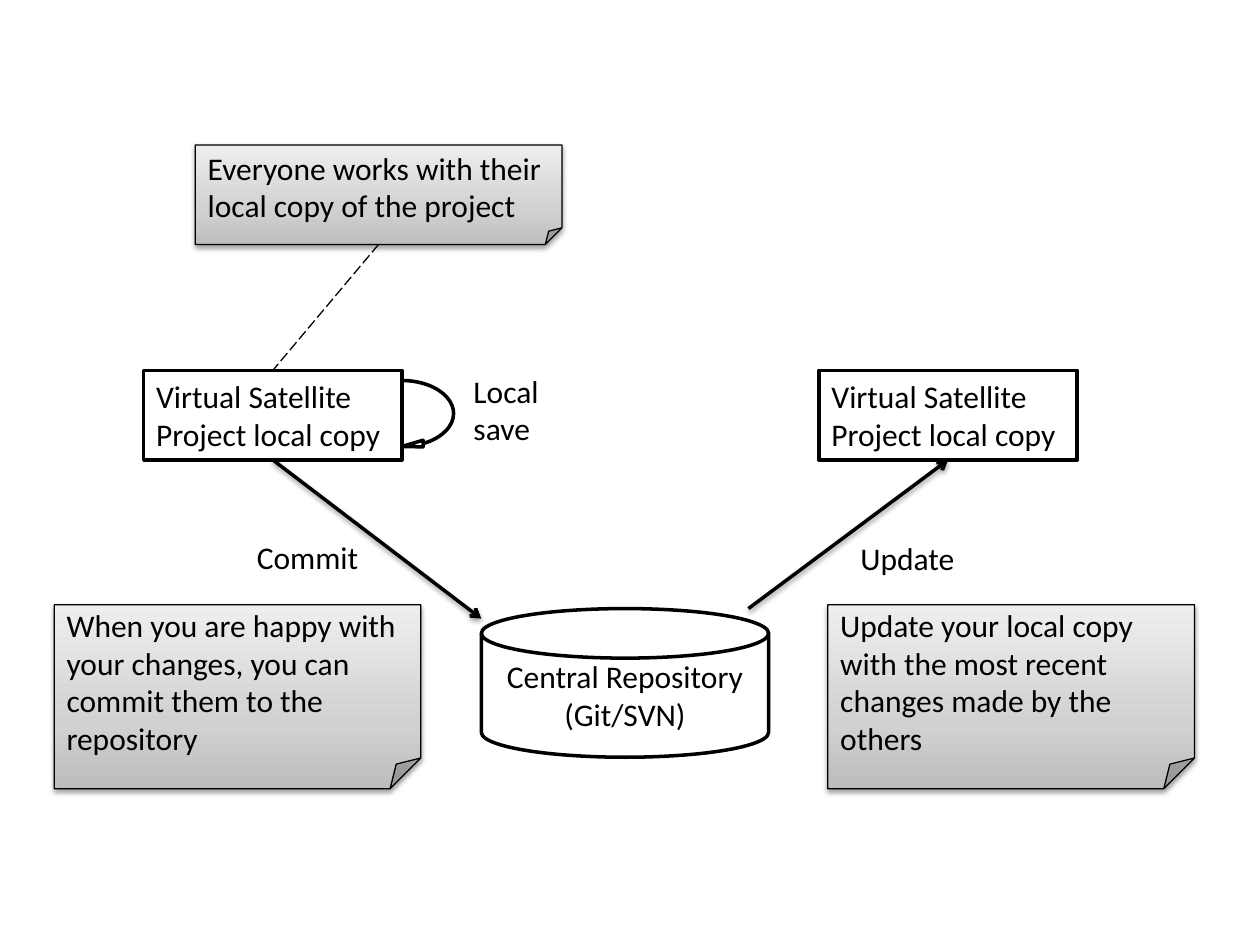
"""Draw the commit and update workflow around a central repository."""
from dataclasses import dataclass

from lxml import etree
from pptx import Presentation
from pptx.dml.color import RGBColor
from pptx.enum.dml import MSO_LINE
from pptx.enum.shapes import MSO_CONNECTOR, MSO_SHAPE
from pptx.enum.text import MSO_ANCHOR, MSO_AUTO_SIZE, PP_ALIGN
from pptx.oxml.ns import qn
from pptx.util import Inches, Pt

RECTANGLE = MSO_SHAPE.RECTANGLE
NOTE = MSO_SHAPE.FOLDED_CORNER
CYLINDER = MSO_SHAPE.FLOWCHART_MAGNETIC_DISK
LOOP_ARROW = MSO_SHAPE.CURVED_LEFT_ARROW
STRAIGHT = MSO_CONNECTOR.STRAIGHT
LONG_DASH = MSO_LINE.LONG_DASH
LEFT, CENTER = PP_ALIGN.LEFT, PP_ALIGN.CENTER
MIDDLE, TOP = MSO_ANCHOR.MIDDLE, MSO_ANCHOR.TOP
FIT_SHAPE = MSO_AUTO_SIZE.SHAPE_TO_FIT_TEXT
COLUMNS, ROWS = 100, 75
SLIDE_WIDTH, SLIDE_HEIGHT = Inches(10), Inches(7.5)


@dataclass(frozen=True)
class Theme:
    font: str = "Calibri"
    text_size: int = 18
    ink: str = "000000"
    paper: str = "FFFFFF"
    note_stops: tuple = ((0, "BDBDBD"), (35, "D1D1D1"), (100, "EEEEEE"))
    thin: float = 0.75
    thick: float = 2


@dataclass(frozen=True)
class Box:
    column: float
    row: float
    columns: float
    rows: float

    @property
    def top(self) -> tuple:
        return self.column + self.columns / 2, self.row

    @property
    def bottom(self) -> tuple:
        return self.column + self.columns / 2, self.row + self.rows


@dataclass(frozen=True)
class Node:
    box: Box
    preset: int
    lines: tuple = ()
    align: int = LEFT
    adjustments: tuple = ()


@dataclass(frozen=True)
class Label:
    box: Box
    text: str
    wrap: bool = False


@dataclass(frozen=True)
class Link:
    start: tuple
    end: tuple
    arrow: bool = True


THEME = Theme()
REPOSITORY = Box(38.2, 48.3, 22.8, 11.8)
LEFT_COPY, RIGHT_COPY = (Box(column, 29.4, 20.5, 7.1) for column in (11.4, 65))
COPY_NOTE = Box(15.5, 11.5, 29.1, 7.9)
COMMIT_NOTE, UPDATE_NOTE = (Box(column, 48, 29.1, 14.6) for column in (4.3, 65.7))
COPY_LINES = ("Virtual Satellite", "Project local copy")

NODES = (
    Node(REPOSITORY, CYLINDER, ("Central Repository", "(Git/SVN)"), CENTER),
    Node(COPY_NOTE, NOTE, ("Everyone works with their local copy of the project",)),
    Node(LEFT_COPY, RECTANGLE, COPY_LINES),
    Node(RIGHT_COPY, RECTANGLE, COPY_LINES),
    Node(COMMIT_NOTE, NOTE,
         ("When you are happy with your changes, you can commit them to the repository",)),
    Node(UPDATE_NOTE, NOTE,
         ("Update your local copy with the most recent changes made by the others",)),
    Node(Box(31.9, 30.2, 4.1, 5.5), LOOP_ARROW, adjustments=(0, 0.13, 0.41)),
)
LINKS = (
    Link(COPY_NOTE.bottom, LEFT_COPY.top, arrow=False),
    Link(LEFT_COPY.bottom, (38.2, 49.1)),
    Link((59.4, 48.3), RIGHT_COPY.bottom),
)
LABELS = (
    Label(Box(19.4, 42.2, 10.2, 4), "Commit"),
    Label(Box(67.3, 42.3, 9.6, 4), "Update"),
    Label(Box(36.6, 29, 8, 7.1), "Local save", wrap=True),
)


def across(columns: float) -> int:
    return round(SLIDE_WIDTH * columns / COLUMNS)


def down(rows: float) -> int:
    return round(SLIDE_HEIGHT * rows / ROWS)


def place(box: Box) -> tuple:
    return across(box.column), down(box.row), across(box.columns), down(box.rows)


def apply(target, values: dict) -> None:
    for name, value in values.items():
        setattr(target, name, value)


def child(parent, tag: str, **attributes: str):
    return etree.SubElement(parent, qn(tag), attributes)


def add_color(parent, color: str):
    return child(parent, "a:srgbClr", val=color)


def set_effects(shape, shadow: bool) -> None:
    effects = child(shape._element.spPr, "a:effectLst")
    if shadow:
        outer = child(effects, "a:outerShdw", blurRad=str(Pt(3.1)), dist=str(Pt(1.6)),
                      dir="5400000", rotWithShape="0")
        child(add_color(outer, THEME.ink), "a:alpha", val="38000")


def set_note_gradient(shape) -> None:
    shape.fill.gradient()
    gradient = shape._element.spPr.find(qn("a:gradFill"))
    for element in list(gradient):
        gradient.remove(element)
    stops = child(gradient, "a:gsLst")
    for percent, color in THEME.note_stops:
        add_color(child(stops, "a:gs", pos=str(percent * 1000)), color)
    child(gradient, "a:lin", ang="16200000", scaled="0")


def set_line(line, width: float) -> None:
    line.color.rgb = RGBColor.from_string(THEME.ink)
    line.width = Pt(width)


def write(shape, lines: tuple, align: int, frame_format: dict) -> None:
    frame = shape.text_frame
    apply(frame, frame_format)
    frame.text = "\n".join(lines)
    for paragraph in frame.paragraphs:
        paragraph.alignment = align
        apply(paragraph.font, {"name": THEME.font, "size": Pt(THEME.text_size)})
        paragraph.font.color.rgb = RGBColor.from_string(THEME.ink)


def draw_node(slide, node: Node) -> None:
    shape = slide.shapes.add_shape(node.preset, *place(node.box))
    is_note = node.preset == NOTE
    for index, value in enumerate(node.adjustments):
        shape.adjustments[index] = value
    if is_note:
        set_note_gradient(shape)
    else:
        shape.fill.solid()
        shape.fill.fore_color.rgb = RGBColor.from_string(THEME.paper)
    set_line(shape.line, THEME.thin if is_note else THEME.thick)
    set_effects(shape, is_note)
    if node.lines:
        write(shape, node.lines, node.align, {"word_wrap": True, "vertical_anchor": MIDDLE})


def draw_link(slide, link: Link) -> None:
    ends = [convert(value) for point in (link.start, link.end)
            for convert, value in zip((across, down), point)]
    connector = slide.shapes.add_connector(STRAIGHT, *ends)
    set_line(connector.line, THEME.thick if link.arrow else THEME.thin)
    if link.arrow:
        child(connector.line._get_or_add_ln(), "a:tailEnd", type="arrow")
    else:
        connector.line.dash_style = LONG_DASH
    set_effects(connector, link.arrow)


def draw_label(slide, label: Label) -> None:
    text_box = slide.shapes.add_textbox(*place(label.box))
    write(text_box, (label.text,), LEFT,
          {"word_wrap": label.wrap, "vertical_anchor": TOP, "auto_size": FIT_SHAPE})


def main() -> None:
    presentation = Presentation()
    apply(presentation, {"slide_width": SLIDE_WIDTH, "slide_height": SLIDE_HEIGHT})
    slide = presentation.slides.add_slide(presentation.slide_layouts.get_by_name("Blank"))
    for draw, items in ((draw_node, NODES), (draw_link, LINKS), (draw_label, LABELS)):
        for item in items:
            draw(slide, item)
    presentation.save("out.pptx")


if __name__ == "__main__":
    main()
